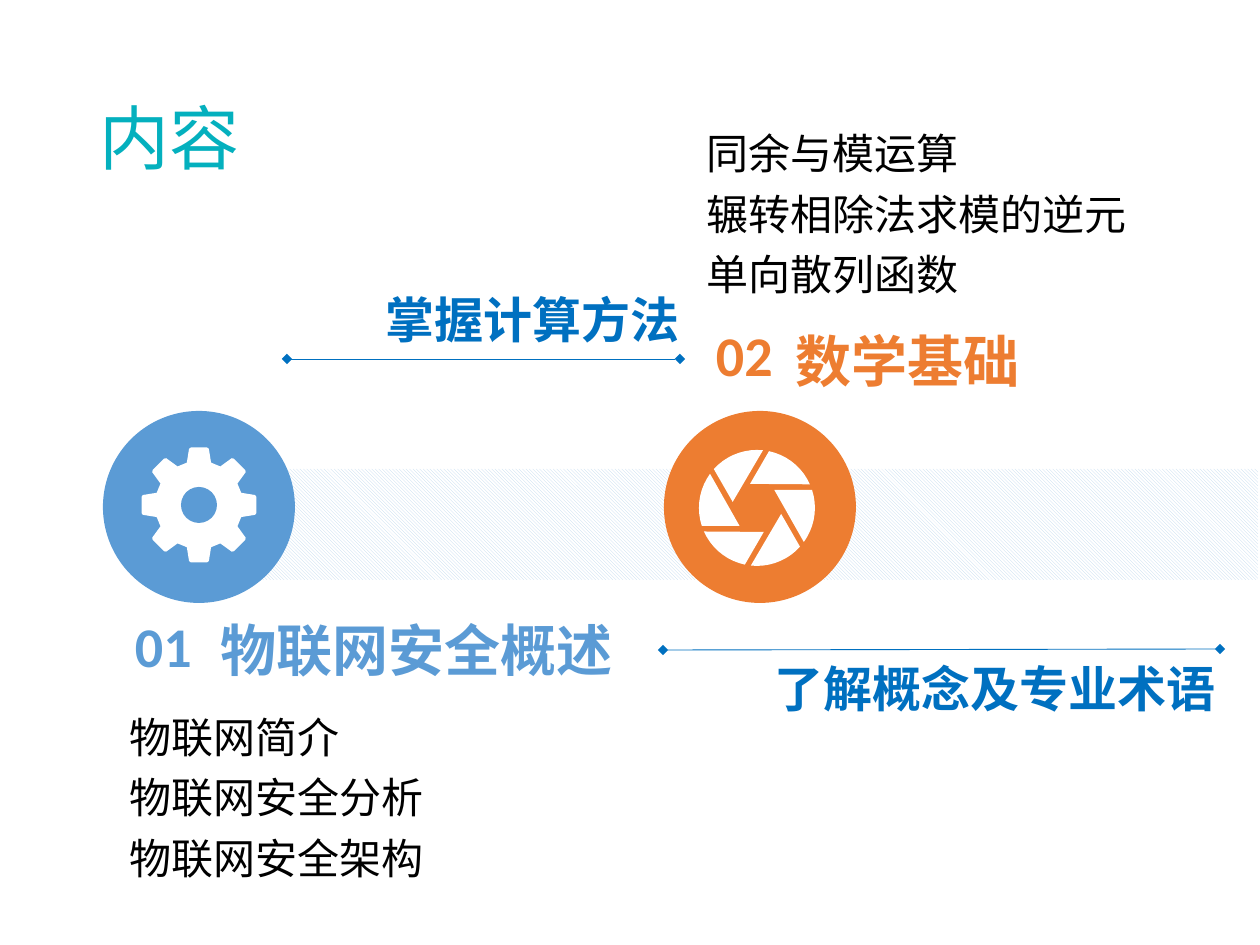
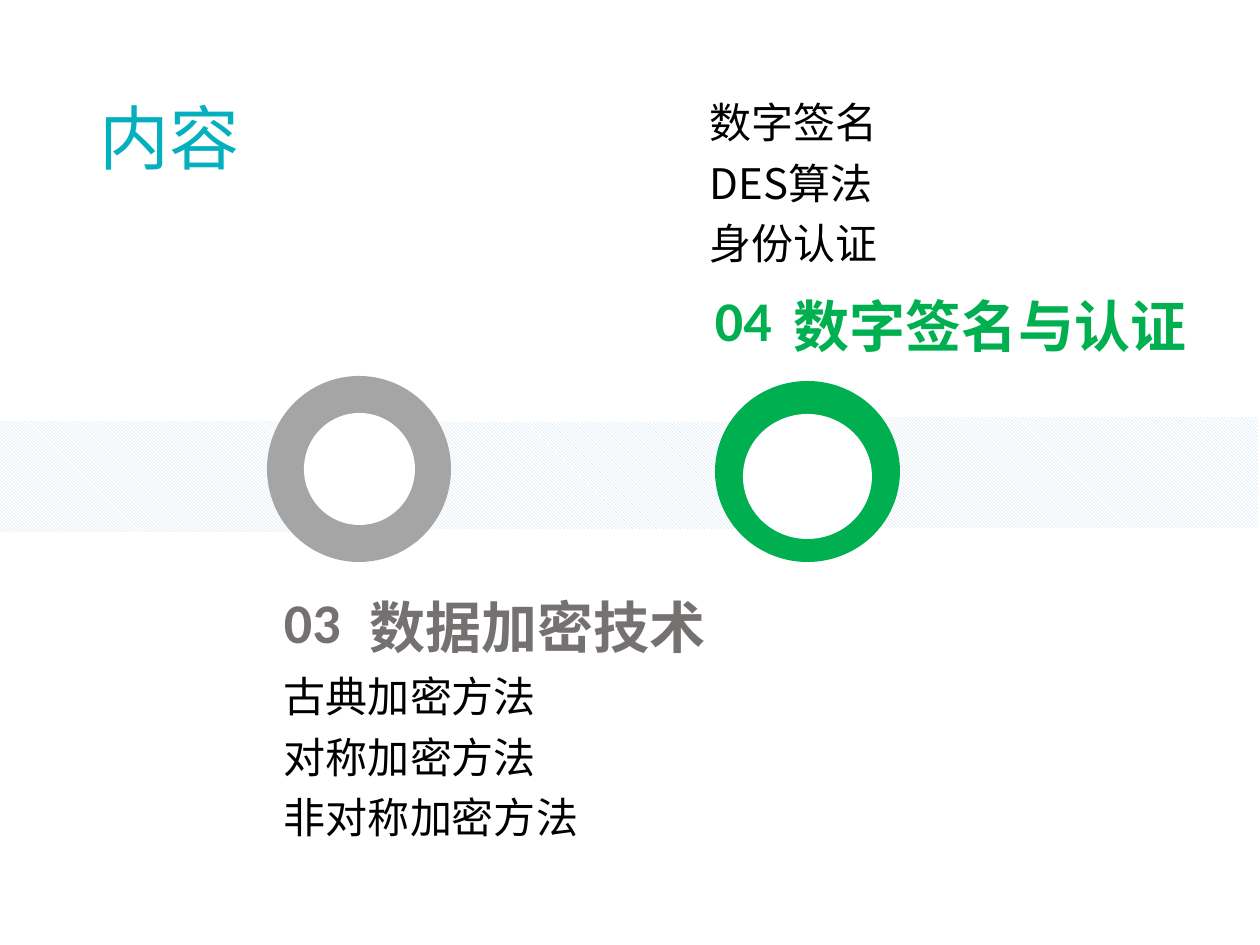
"""Build two contents pages: a hatched timeline with four numbered chapters."""
import math

from lxml import etree
from pptx import Presentation, util as u
from pptx.dml.color import RGBColor
from pptx.enum import dml, shapes, text
from pptx.oxml.ns import qn

SCALE = 914400 / 126
COLORS = {
    "title": "04B0BE", "body": "000000", "white": "FFFFFF", "hatch": "BDD7EE",
    "goal": "0070C0", "blue": "5B9BD5", "orange": "ED7D31",
    "gray": "A5A5A5", "gray_text": "767171", "green": "00B050",
}
RGB = {name: RGBColor.from_string(value) for name, value in COLORS.items()}
CJK_FONT = "Noto Sans CJK SC"
LEFT, RIGHT = text.PP_ALIGN.LEFT, text.PP_ALIGN.RIGHT
TOP, MIDDLE = text.MSO_ANCHOR.TOP, text.MSO_ANCHOR.MIDDLE
WIDE, TIGHT = (13, 6, 13, 6), (8, 0, 23, 0)

STYLES = {
    "title": dict(font=dict(name="Arial", size=u.Pt(40)), align=LEFT,
                  spacing=0.9, anchor=MIDDLE, inset=WIDE, wrap=False),
    "number": dict(font=dict(name="Calibri", size=u.Pt(32), bold=True), align=LEFT,
                   spacing=1.0, anchor=TOP, inset=WIDE, wrap=False),
    "heading": dict(font=dict(name="Calibri", size=u.Pt(32), bold=True), align=LEFT,
                    spacing=1.0, anchor=MIDDLE, inset=TIGHT, wrap=False),
    "goal": dict(font=dict(name="Calibri", size=u.Pt(28), bold=True), align=RIGHT,
                 spacing=1.0, anchor=TOP, inset=WIDE, wrap=False),
    "body": dict(font=dict(name=CJK_FONT, size=u.Pt(24)), align=LEFT,
                 spacing=1.2, anchor=MIDDLE, inset=TIGHT, wrap=True),
}

GEAR_TOOTH = [(44, -16), (57, -10), (58, -8), (58, 8), (57, 10), (44, 16)]
SHUTTER_BLADE = [(58, angle) for angle in range(6, -49, -6)] + [(25, -76)]
ICONS = {
    "gear": dict(center=(199, 505), contours=[
        [(radius, angle + turn) for turn in range(0, 360, 45) for radius, angle in GEAR_TOOTH]]),
    "shutter": dict(center=(757, 508), contours=[
        [(radius, angle + turn) for radius, angle in SHUTTER_BLADE]
        for turn in range(0, 360, 60)]),
}

PAGES = [
    dict(
        bands=[(163, 469, 596, 111), (731, 469, 527, 111)],
        circles=[("blue", (103, 411, 192, 192)), ("orange", (664, 411, 192, 192))],
        icons=["gear", "shutter"],
        hubs=[("blue", (181, 487, 36, 36))],
        lines=[(663, 650, 1220, 649), (287, 359, 680, 359)],
        texts=[
            ("number", "blue", (122, 606, 90, 96), ["01"]),
            ("heading", "blue", (212, 594, 433, 111), ["物联网安全概述"]),
            ("body", "body", (122, 690, 456, 204),
             ["物联网简介", "物联网安全分析", "物联网安全架构"]),
            ("goal", "goal", (651, 653, 577, 76), ["了解概念及专业术语"]),
            ("goal", "goal", (345, 284, 347, 76), ["掌握计算方法"]),
            ("number", "orange", (703, 315, 115, 89), ["02"]),
            ("heading", "orange", (788, 324, 278, 73), ["数学基础"]),
            ("body", "body", (699, 116, 490, 185),
             ["同余与模运算", "辗转相除法求模的逆元", "单向散列函数"]),
        ],
    ),
    dict(
        bands=[(779, 417, 479, 111), (0, 421, 314, 111), (355, 422, 423, 107)],
        circles=[("gray", (267, 376, 184, 186)), ("green", (715, 381, 185, 181))],
        icons=[],
        hubs=[("white", (304, 413, 111, 112)), ("white", (743, 414, 129, 125))],
        lines=[],
        texts=[
            ("number", "gray_text", (271, 582, 123, 89), ["03"]),
            ("heading", "gray_text", (362, 590, 375, 73), ["数据加密技术"]),
            ("body", "body", (276, 659, 360, 185),
             ["古典加密方法", "对称加密方法", "非对称加密方法"]),
            ("number", "green", (702, 280, 115, 89), ["04"]),
            ("heading", "green", (786, 289, 431, 73), ["数字签名与认证"]),
            ("body", "body", (702, 78, 412, 199), ["数字签名", "DES算法", "身份认证"]),
        ],
    ),
]


def emu(lengths):
    """Turn px lengths into whole EMU."""
    return [round(length * SCALE) for length in lengths]


def paint(shape, color):
    """Give a shape a flat fill without line or shadow."""
    shape.shadow.inherit = False
    shape.line.fill.background()
    shape.fill.solid()
    shape.fill.fore_color.rgb = RGB[color]


deck = Presentation()
deck.slide_width, deck.slide_height = emu((1260, 945))

for content in PAGES:
    page = deck.slides.add_slide(deck.slide_layouts[6])

    for place in content["bands"]:
        band = page.shapes.add_shape(shapes.MSO_SHAPE.RECTANGLE, *emu(place))
        paint(band, "white")
        band.fill.patterned()
        band.fill.pattern = dml.MSO_PATTERN.DARK_DOWNWARD_DIAGONAL
        band.fill.fore_color.rgb = RGB["hatch"]
        band.fill.back_color.rgb = RGB["white"]

    for color, place in content["circles"]:
        paint(page.shapes.add_shape(shapes.MSO_SHAPE.OVAL, *emu(place)), color)

    for name in content["icons"]:
        center_x, center_y = ICONS[name]["center"]
        builder = None
        for contour in ICONS[name]["contours"]:
            points = [emu((center_x + radius * math.sin(math.radians(angle)),
                           center_y - radius * math.cos(math.radians(angle))))
                      for radius, angle in contour]
            if builder is None:
                builder = page.shapes.build_freeform(*points[0])
            else:
                builder.move_to(*points[0])
            builder.add_line_segments(points[1:], close=True)
        paint(builder.convert_to_shape(), "white")

    for color, place in content["hubs"]:
        paint(page.shapes.add_shape(shapes.MSO_SHAPE.OVAL, *emu(place)), color)

    for ends in content["lines"]:
        line = page.shapes.add_connector(shapes.MSO_CONNECTOR.STRAIGHT, *emu(ends))
        line.line.color.rgb = RGB["goal"]
        line.line.width = u.Pt(0.5)
        stroke = line.line._get_or_add_ln()
        for end in ("a:headEnd", "a:tailEnd"):
            etree.SubElement(stroke, qn(end), type="diamond")
        etree.SubElement(line._element.spPr, qn("a:effectLst"))

    title = ("title", "title", (87, 97, 166, 89), ["内容"])
    for kind, color, place, lines in [title] + content["texts"]:
        style = STYLES[kind]
        box = page.shapes.add_textbox(*emu(place))
        frame = box.text_frame
        frame.word_wrap = style["wrap"]
        frame.vertical_anchor = style["anchor"]
        for side, inset in zip(("left", "top", "right", "bottom"), emu(style["inset"])):
            setattr(frame, f"margin_{side}", inset)
        for index, line in enumerate(lines):
            para = frame.add_paragraph() if index else frame.paragraphs[0]
            para.alignment = style["align"]
            para.line_spacing = style["spacing"]
            span = para.add_run()
            span.text = line
            for key, value in style["font"].items():
                setattr(span.font, key, value)
            span.font.color.rgb = RGB[color]
            etree.SubElement(span.font._element, qn("a:ea"), typeface=CJK_FONT)

deck.save("out.pptx")
